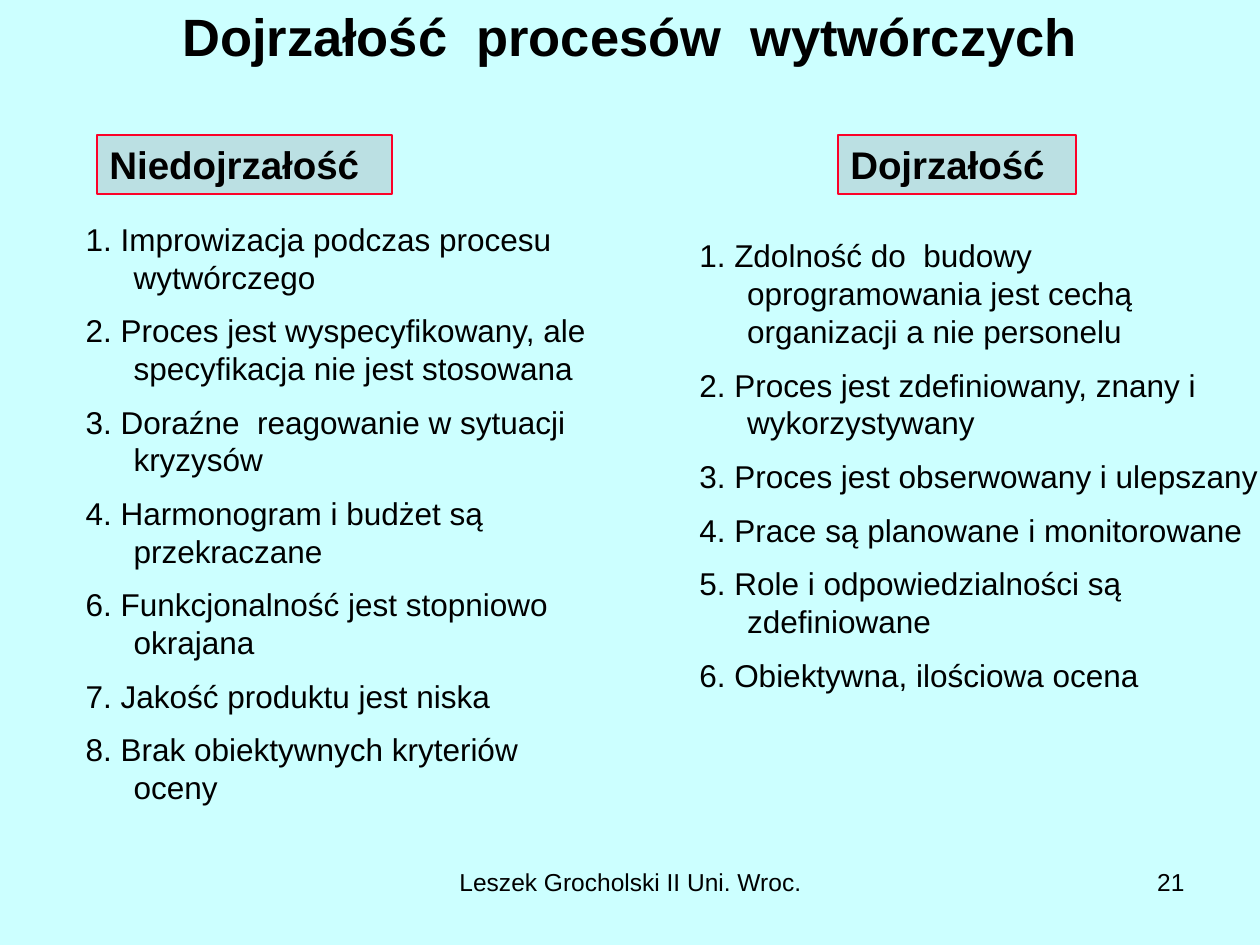
from lxml import etree
from pptx import Presentation
from pptx import util as u
from pptx.dml.color import RGBColor
from pptx.enum import shapes, text

HUES = {"back": "CCFFFF", "ink": "000000", "box": "BBE0E3", "edge": "FC0128"}
ALIGN = text.PP_ALIGN
NS = "{http://schemas.openxmlformats.org/drawingml/2006/main}"

FLAWS = [
    "1. Improwizacja podczas procesu wytwórczego",
    "2. Proces jest wyspecyfikowany, ale specyfikacja nie jest stosowana",
    "3. Doraźne  reagowanie w sytuacji kryzysów",
    "4. Harmonogram i budżet są przekraczane",
    "6. Funkcjonalność jest stopniowo okrajana",
    "7. Jakość produktu jest niska",
    "8. Brak obiektywnych kryteriów oceny",
]
GAINS = [
    "1. Zdolność do  budowy oprogramowania jest cechą organizacji a nie personelu",
    "2. Proces jest zdefiniowany, znany i wykorzystywany",
    "3. Proces jest obserwowany i ulepszany",
    "4. Prace są planowane i monitorowane",
    "5. Role i odpowiedzialności są zdefiniowane",
    "6. Obiektywna, ilościowa ocena",
]


def color(name):
    return RGBColor.from_string(HUES[name])


def apply(item, **values):
    for key, value in values.items():
        setattr(item, key, value)


class Deck:
    def __init__(self):
        self.show = Presentation()
        apply(self.show, slide_width=u.Inches(10), slide_height=u.Inches(7.5))
        self.slide = self.show.slides.add_slide(self.show.slide_layouts[3])
        fill = self.slide.background.fill
        fill.solid()
        fill.fore_color.rgb = color("back")

    def put(self, shape, lines, size, bold=False, align=ALIGN.LEFT,
            anchor=text.MSO_ANCHOR.TOP):
        frame = shape.text_frame
        apply(frame, word_wrap=True, auto_size=text.MSO_AUTO_SIZE.NONE,
              vertical_anchor=anchor)
        frame.text = "\n".join(lines)
        for para in frame.paragraphs:
            para.alignment = align
            font = para.runs[0].font
            apply(font, name="Arial", size=u.Pt(size), bold=bold)
            font.color.rgb = color("ink")
        return frame.paragraphs

    def holder(self, index, area):
        shape = self.slide.placeholders[index]
        apply(shape, **dict(zip(("left", "top", "width", "height"),
                                map(u.Inches, area))))
        return shape

    def title(self, words, area):
        self.put(self.holder(0, area), [words], 30, True, ALIGN.CENTER,
                 text.MSO_ANCHOR.MIDDLE)

    def items(self, index, lines, area):
        paras = self.put(self.holder(index, area), lines, 18,
                         anchor=text.MSO_ANCHOR.MIDDLE)
        indent = u.Inches(0.38)
        for para in paras:
            para.space_before = u.Pt(9)
            props = para._p.get_or_add_pPr()
            props.set("marL", str(indent))
            props.set("indent", str(-indent))
            etree.SubElement(props, NS + "buNone")

    def label(self, words, area):
        box = self.slide.shapes.add_shape(
            shapes.MSO_SHAPE.RECTANGLE, *map(u.Inches, area))
        box.shadow.inherit = False
        box.fill.solid()
        box.fill.fore_color.rgb = color("box")
        box.line.color.rgb = color("edge")
        box.line.width = u.Pt(1)
        self.put(box, [words], 22, True)

    def note(self, words, area, align):
        box = self.slide.shapes.add_textbox(*map(u.Inches, area))
        self.put(box, [words], 14, align=align)


def main():
    deck = Deck()
    deck.note("Leszek Grocholski II Uni. Wroc.", (3.42, 6.83, 3.17, 0.52),
              ALIGN.CENTER)
    deck.note("21", (7.17, 6.83, 2.33, 0.52), ALIGN.RIGHT)
    deck.title("Dojrzałość  procesów  wytwórczych", (0, -0.19, 10, 0.94))
    deck.items(1, FLAWS, (0.58, 0.99, 4.29, 6.16))
    deck.items(2, GAINS, (5.45, 0.91, 4.67, 5.56))
    deck.label("Niedojrzałość", (0.77, 1.07, 2.34, 0.47))
    deck.label("Dojrzałość", (6.65, 1.07, 1.89, 0.47))
    deck.show.save("out.pptx")


if __name__ == "__main__":
    main()
